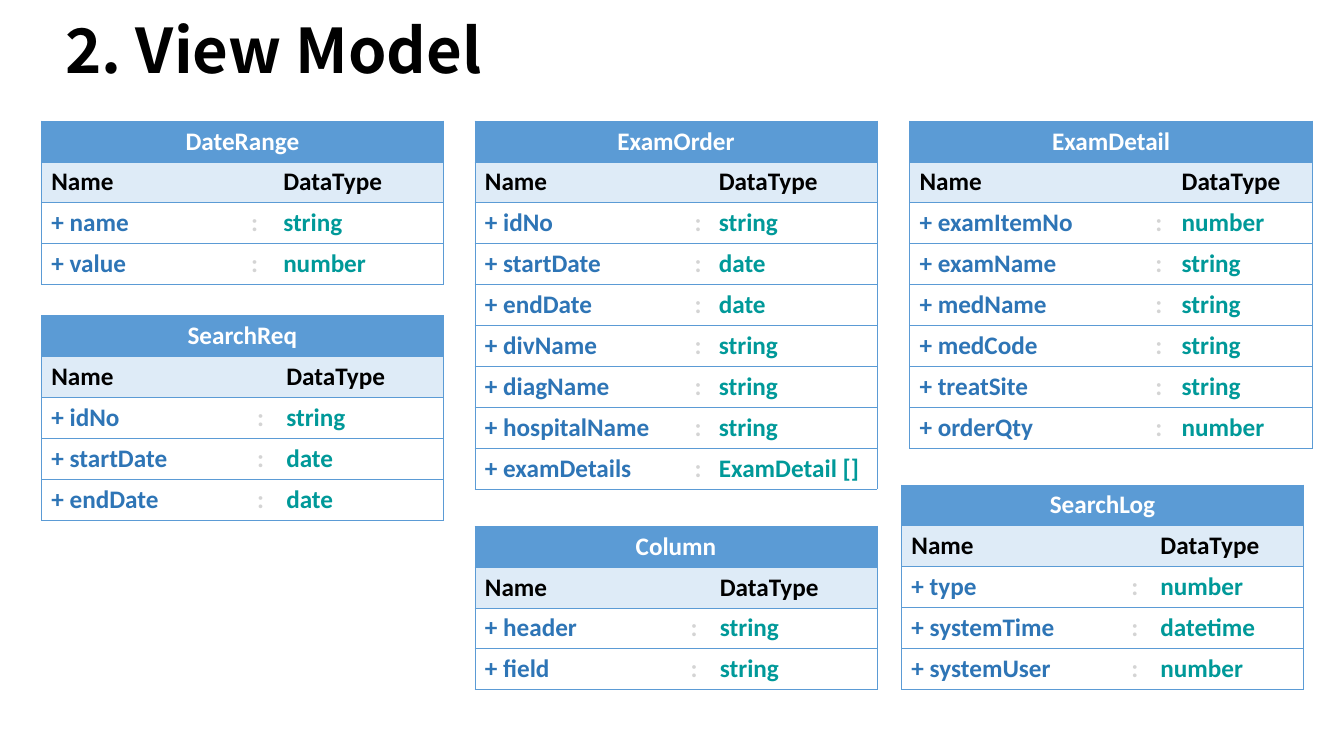
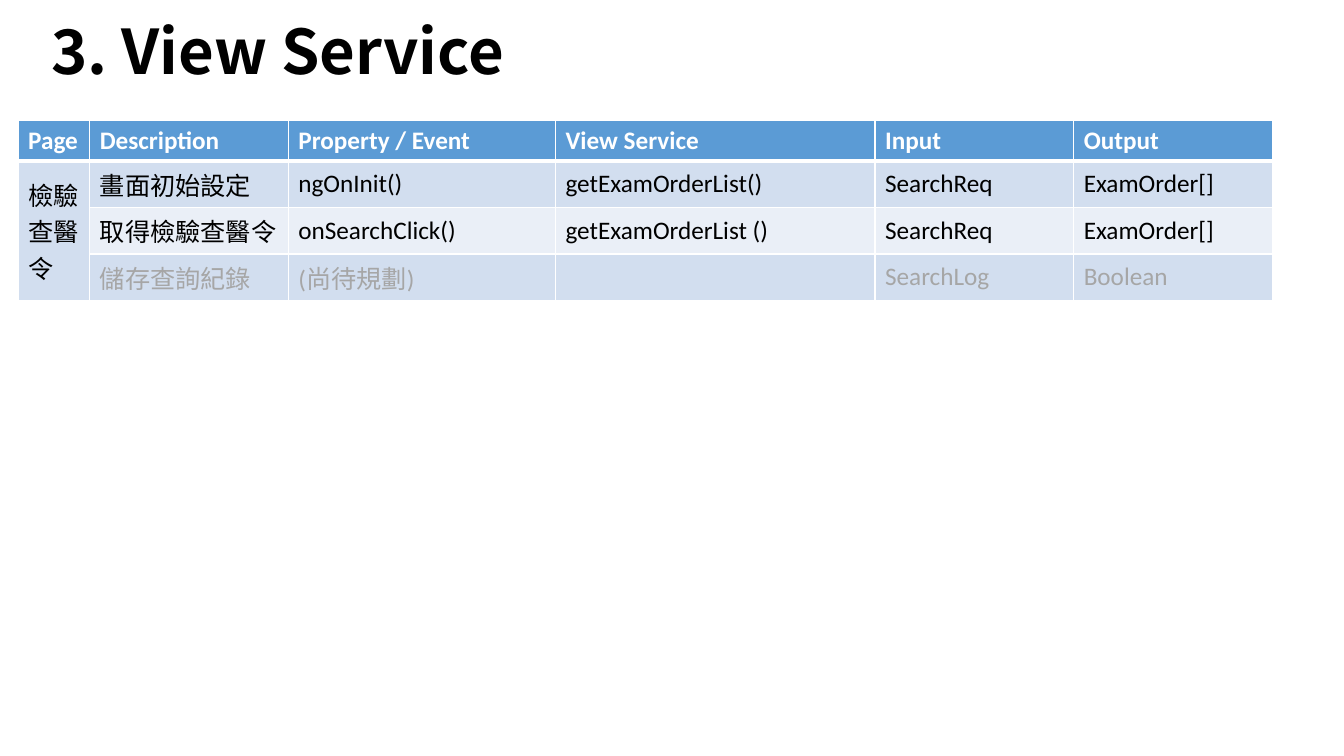
from lxml.etree import SubElement
from pptx import Presentation
from pptx.dml.color import RGBColor as Rgb
from pptx.enum.text import MSO_ANCHOR as Anchor, MSO_AUTO_SIZE as Fit, PP_ALIGN as Align
from pptx.oxml import parse_xml
from pptx.oxml.ns import nsdecls, qn
from pptx.util import Emu, Pt

PX = 9144  # 100 px to the inch

BLUE = Rgb(0x5B, 0x9B, 0xD5)
PALE = Rgb(0xDE, 0xEB, 0xF7)
NAVY = Rgb(0x2E, 0x75, 0xB6)
TEAL = Rgb(0x00, 0x99, 0x99)
ASH = Rgb(0xD4, 0xD4, 0xD4)
GREY = Rgb(0xA6, 0xA6, 0xA6)
BAND = Rgb(0xD2, 0xDE, 0xEF)
LIGHT = Rgb(0xEA, 0xEF, 0xF7)
BLACK = Rgb(0, 0, 0)
WHITE = Rgb(0xFF, 0xFF, 0xFF)

LATIN, CJK = "Calibri", "Noto Sans CJK SC"
HEAD = {"name": CJK, "size": Pt(44), "bold": True}
BOLD = {"name": LATIN, "size": Pt(18), "bold": True}
BODY = {**BOLD, "bold": False}
ROW = 40

# name, left, top, column widths, fields
MODELS = [
    ("DateRange", 41, 120, (198, 32, 169), "name string, value number"),
    ("SearchReq", 41, 313, (204, 29, 166), "idNo string, startDate date, endDate date"),
    ("ExamOrder", 471, 120, (208, 24, 167),
     "idNo string, startDate date, endDate date, divName string, "
     "diagName string, hospitalName string, examDetails ExamDetail []"),
    ("Column", 471, 522, (204, 29, 166), "header string, field string"),
    ("ExamDetail", 902, 120, (234, 26, 140),
     "examItemNo number, examName string, medName string, "
     "medCode string, treatSite string, orderQty number"),
    ("SearchLog", 894, 481, (218, 29, 152),
     "type number, systemTime datetime, systemUser number"),
]

SERVICES = [
    ("Page", "Description", "Property / Event", "View Service", "Input", "Output"),
    ("檢驗查醫令", "畫面初始設定", "ngOnInit()", "getExamOrderList()", "SearchReq", "ExamOrder[]"),
    ("", "取得檢驗查醫令", "onSearchClick()", "getExamOrderList ()", "SearchReq", "ExamOrder[]"),
    ("", "儲存查詢紀錄", "(尚待規劃)", "", "SearchLog", "Boolean"),
]


class Deck:
    def __init__(self):
        self.prs = Presentation()
        self.prs.slide_width, self.prs.slide_height = Emu(1333 * PX), Emu(750 * PX)
        self.slide = None

    def label(self, para, text, look, color):
        run = para.add_run()
        run.text = text
        for key, value in look.items():
            setattr(run.font, key, value)
        run.font.color.rgb = color
        SubElement(run._r.get_or_add_rPr(), qn("a:ea"), typeface=CJK)

    def title(self, text, *box):
        """Start a slide with its title placed at left, top, width, height."""
        self.slide = self.prs.slides.add_slide(self.prs.slide_layouts[5])
        shape = self.slide.shapes.title
        for key, value in zip(("left", "top", "width", "height"), box):
            setattr(shape, key, Emu(value * PX))
        frame = shape.text_frame
        frame.auto_size, frame.vertical_anchor = Fit.NONE, Anchor.MIDDLE
        para = frame.paragraphs[0]
        para.alignment, para.line_spacing = Align.LEFT, 0.9
        self.label(para, text, HEAD, BLACK)

    def grid(self, left, top, widths, count):
        """Add a plain table and return it."""
        box = (left, top, sum(widths), count * ROW)
        table = self.slide.shapes.add_table(
            count, len(widths), *(Emu(n * PX) for n in box)).table
        table.first_row = table.horz_banding = False
        for col, width in zip(table.columns, widths):
            col.width = Emu(width * PX)
        return table

    def cell(self, cell, text, look, color, fill=None):
        if fill is None:
            cell.fill.background()
        else:
            cell.fill.solid()
            cell.fill.fore_color.rgb = fill
        if text:
            self.label(cell.text_frame.paragraphs[0], text, look, color)

    def edges(self, cell, color, **sides):
        """Set borders by side (L, R, T, B) in points; 0 means no line."""
        props = cell._tc.get_or_add_tcPr()
        for spot, side in enumerate("LRTB"):
            width = sides[side]
            paint = (f'<a:solidFill><a:srgbClr val="{color}"/></a:solidFill>'
                     if width else "<a:noFill/>")
            props.insert(spot, parse_xml(
                f'<a:ln{side} {nsdecls("a")} w="{Pt(width)}">{paint}</a:ln{side}>'))

    def model(self, name, left, top, widths, fields):
        """Draw one class box: name bar, column heads, then its fields."""
        pairs = [field.split(" ", 1) for field in fields.split(", ")]
        rows = [(name, "", ""), ("Name", "", "DataType")]
        rows += [(f"+ {key}", ":", kind) for key, kind in pairs]
        table = self.grid(left, top, widths, len(rows))
        for r, row in enumerate(rows):
            inks = [(WHITE,) * 3, (BLACK,) * 3, (NAVY, ASH, TEAL)][min(r, 2)]
            fill = [BLUE, PALE, None][min(r, 2)]
            for c, (text, ink) in enumerate(zip(row, inks)):
                cell = table.cell(r, c)
                self.cell(cell, text, BOLD, ink, fill)
                self.edges(cell, BLUE, T=0.5, B=0.5,
                           L=0.5 if c == 0 else 0,
                           R=0.5 if c == 2 or r == 0 else 0)
        bar = table.cell(0, 0)
        bar.merge(table.cell(0, 2))
        bar.text_frame.paragraphs[0].alignment = Align.CENTER

    def services(self, left, top, widths, rows):
        table = self.grid(left, top, widths, len(rows))
        last = len(rows) - 1
        for r, row in enumerate(rows):
            fill = BLUE if r == 0 else BAND if r % 2 else LIGHT
            ink = WHITE if r == 0 else GREY if r == last else BLACK
            for c, text in enumerate(row):
                cell = table.cell(r, c)
                self.cell(cell, text, BODY if r else BOLD, ink, fill)
                cell.vertical_anchor = Anchor.MIDDLE
                self.edges(cell, WHITE, L=1, R=1,
                           T=3 if r == 1 else 1, B=1 if r else 3)
        table.cell(1, 0).merge(table.cell(last, 0))


def main():
    deck = Deck()
    deck.title("2. View Model", 55, 14, 1217, 78)
    for model in MODELS:
        deck.model(*model)
    deck.title("3. View Service", 41, -10, 930, 128)
    deck.services(18, 119, (71, 197, 265, 317, 197, 197), SERVICES)
    deck.prs.save("out.pptx")


if __name__ == "__main__":
    main()
